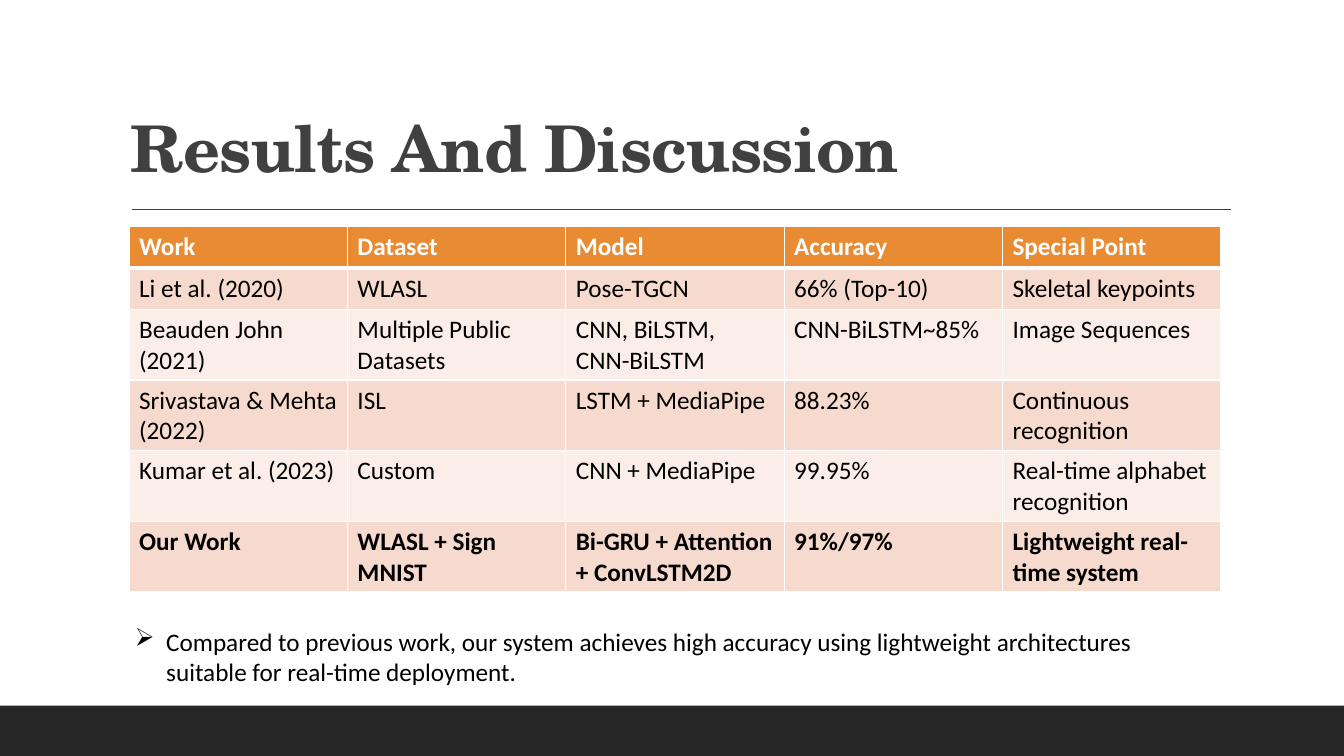
from pptx import Presentation
from pptx.dml.color import RGBColor
from pptx.enum.shapes import MSO_CONNECTOR, MSO_SHAPE
from pptx.enum.text import MSO_ANCHOR
from pptx.oxml.ns import qn
from pptx.util import Inches, Pt
from lxml import etree

STRAIGHT = MSO_CONNECTOR.STRAIGHT
RECTANGLE = MSO_SHAPE.RECTANGLE
BOTTOM = MSO_ANCHOR.BOTTOM
TOP = MSO_ANCHOR.TOP

COLORS = {
    "footer": "262626",
    "title": "404040",
    "header": "E88B33",
    "odd_row": "F6DACE",
    "even_row": "FBEEE8",
    "white": "FFFFFF",
    "black": "000000",
}
TITLE_FONT = {"name": "TeX Gyre Schola", "size": Pt(46), "bold": True}
BODY_FONT = {"name": "Calibri", "size": Pt(18), "bold": False}
STRONG_FONT = {**BODY_FONT, "bold": True}

RESULTS = [
    ["Work", "Dataset", "Model", "Accuracy", "Special Point"],
    ["Li et al. (2020)", "WLASL", "Pose-TGCN", "66% (Top-10)", "Skeletal keypoints"],
    ["Beauden John (2021)", "Multiple Public Datasets", "CNN, BiLSTM, CNN-BiLSTM",
     "CNN-BiLSTM~85%", "Image Sequences"],
    ["Srivastava & Mehta (2022)", "ISL", "LSTM + MediaPipe", "88.23%",
     "Continuous recognition"],
    ["Kumar et al. (2023)", "Custom", "CNN + MediaPipe", "99.95%",
     "Real-time alphabet recognition"],
    ["Our Work", "WLASL + Sign MNIST", "Bi-GRU + Attention + ConvLSTM2D", "91%/97%",
     "Lightweight real-time system"],
]
CONCLUSION = ("Compared to previous work, our system achieves high accuracy using "
              "lightweight architectures suitable for real-time deployment.")


def rgb(name):
    return RGBColor.from_string(COLORS[name])


def add_run(paragraph, text, font_values, color):
    run = paragraph.add_run()
    run.text = text
    for attribute, value in font_values.items():
        setattr(run.font, attribute, value)
    run.font.color.rgb = rgb(color)
    return run


def add_text_area(slide, left, top, width, height, anchor):
    area = slide.shapes.add_textbox(
        Inches(left), Inches(top), Inches(width), Inches(height))
    area.text_frame.word_wrap = True
    area.text_frame.vertical_anchor = anchor
    return area.text_frame.paragraphs[0]


def add_footer_band(slide):
    band = slide.shapes.add_shape(
        RECTANGLE, Inches(0), Inches(7), Inches(13.33), Inches(0.5))
    band.shadow.inherit = False
    band.fill.solid()
    band.fill.fore_color.rgb = rgb("footer")
    band.line.fill.background()


def add_title_rule(slide):
    rule = slide.shapes.add_connector(
        STRAIGHT, Inches(1.31), Inches(2.08), Inches(12.21), Inches(2.08))
    rule.line.color.rgb = rgb("title")
    rule.line.width = Pt(1)
    etree.SubElement(rule._element.spPr, qn("a:effectLst"))


def add_title(slide, text):
    paragraph = add_text_area(slide, 1.2, 0.31, 11, 1.59, BOTTOM)
    paragraph.line_spacing = 0.9
    run = add_run(paragraph, text, TITLE_FONT, "title")
    run.font._element.set("spc", "-50")


def set_borders(cell, widths):
    properties = cell._tc.get_or_add_tcPr()
    for side, width in widths.items():
        border = etree.SubElement(properties, qn(f"a:ln{side}"), w=str(Pt(width)))
        fill = etree.SubElement(border, qn("a:solidFill"))
        etree.SubElement(fill, qn("a:srgbClr"), val=COLORS["white"])


def fill_cell(cell, text, font_values, text_color, fill_color, border_widths):
    set_borders(cell, border_widths)
    cell.fill.solid()
    cell.fill.fore_color.rgb = rgb(fill_color)
    add_run(cell.text_frame.paragraphs[0], text, font_values, text_color)


def add_results_table(slide, rows):
    column_count = len(rows[0])
    table = slide.shapes.add_table(
        len(rows), column_count, Inches(1.28), Inches(2.25),
        Inches(2.166 * column_count), Inches(0.41 * len(rows))).table
    last = len(rows) - 1
    for row_index, texts in enumerate(rows):
        is_header = row_index == 0
        font_values = STRONG_FONT if row_index in (0, last) else BODY_FONT
        text_color = "white" if is_header else "black"
        band = "odd_row" if row_index % 2 else "even_row"
        fill_color = "header" if is_header else band
        widths = {"L": 1, "R": 1, "T": 3 if row_index == 1 else 1,
                  "B": 3 if is_header else 1}
        for column_index, text in enumerate(texts):
            fill_cell(table.cell(row_index, column_index), text,
                      font_values, text_color, fill_color, widths)


def add_conclusion(slide, text):
    paragraph = add_text_area(slide, 1.24, 6.16, 10.92, 0.71, TOP)
    properties = paragraph._p.get_or_add_pPr()
    properties.set("marL", str(Inches(0.31)))
    properties.set("indent", str(-Inches(0.31)))
    etree.SubElement(properties, qn("a:buChar"), char="➢")
    add_run(paragraph, text, BODY_FONT, "black")


def main():
    presentation = Presentation()
    presentation.slide_width = Inches(13.33)
    presentation.slide_height = Inches(7.5)
    slide = presentation.slides.add_slide(presentation.slide_layouts[6])
    add_footer_band(slide)
    add_title_rule(slide)
    add_title(slide, "Results And Discussion")
    add_results_table(slide, RESULTS)
    add_conclusion(slide, CONCLUSION)
    presentation.save("out.pptx")


if __name__ == "__main__":
    main()
